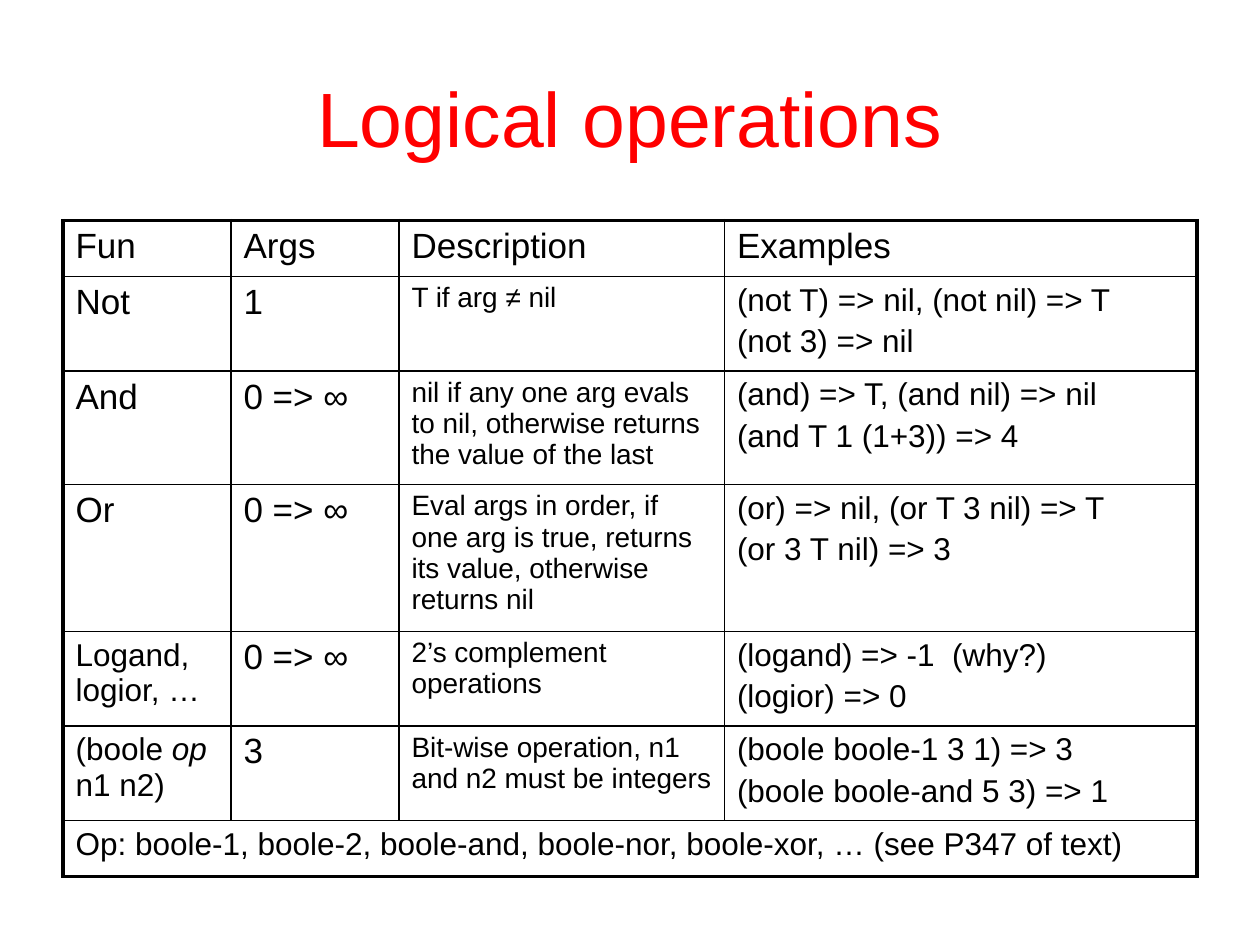
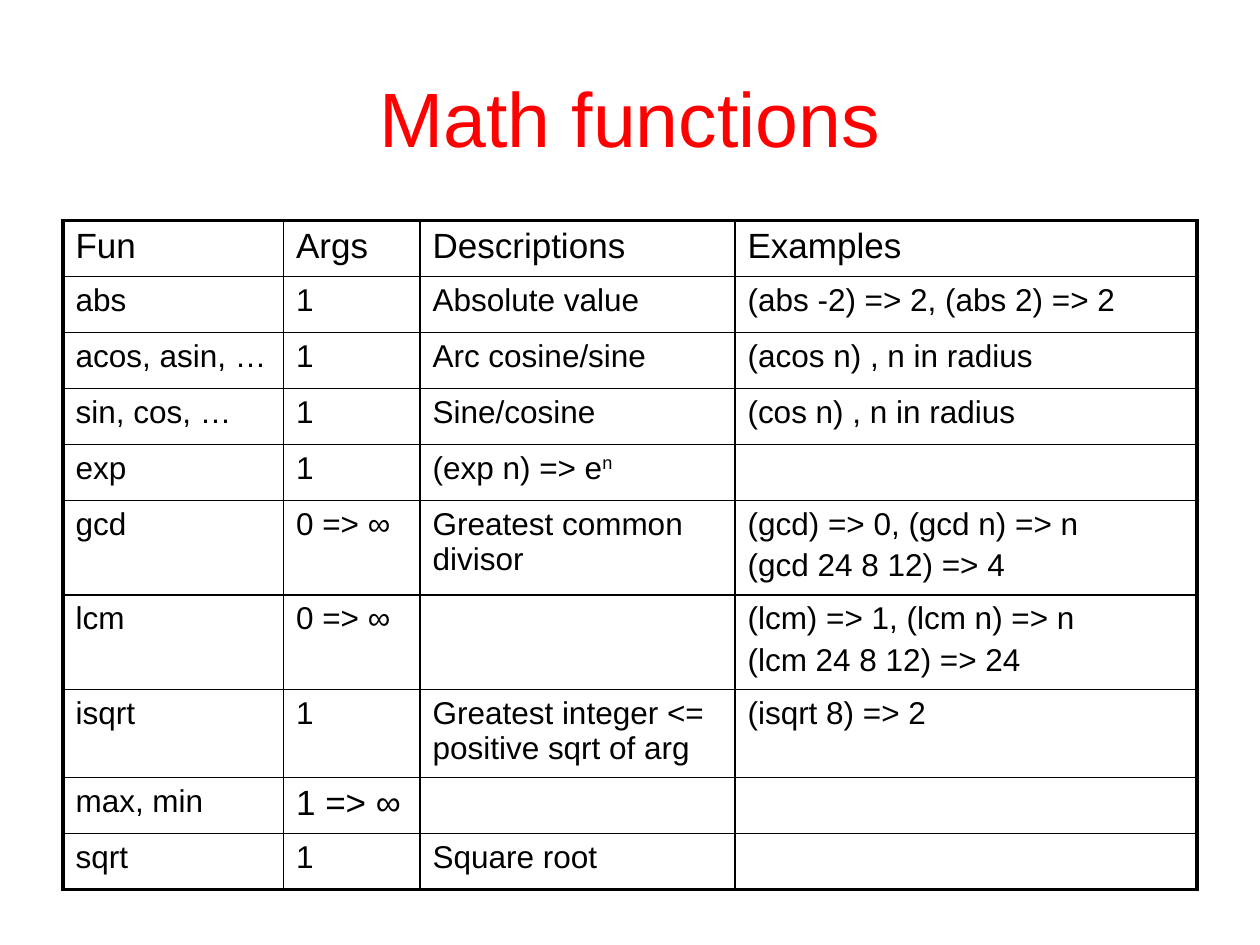
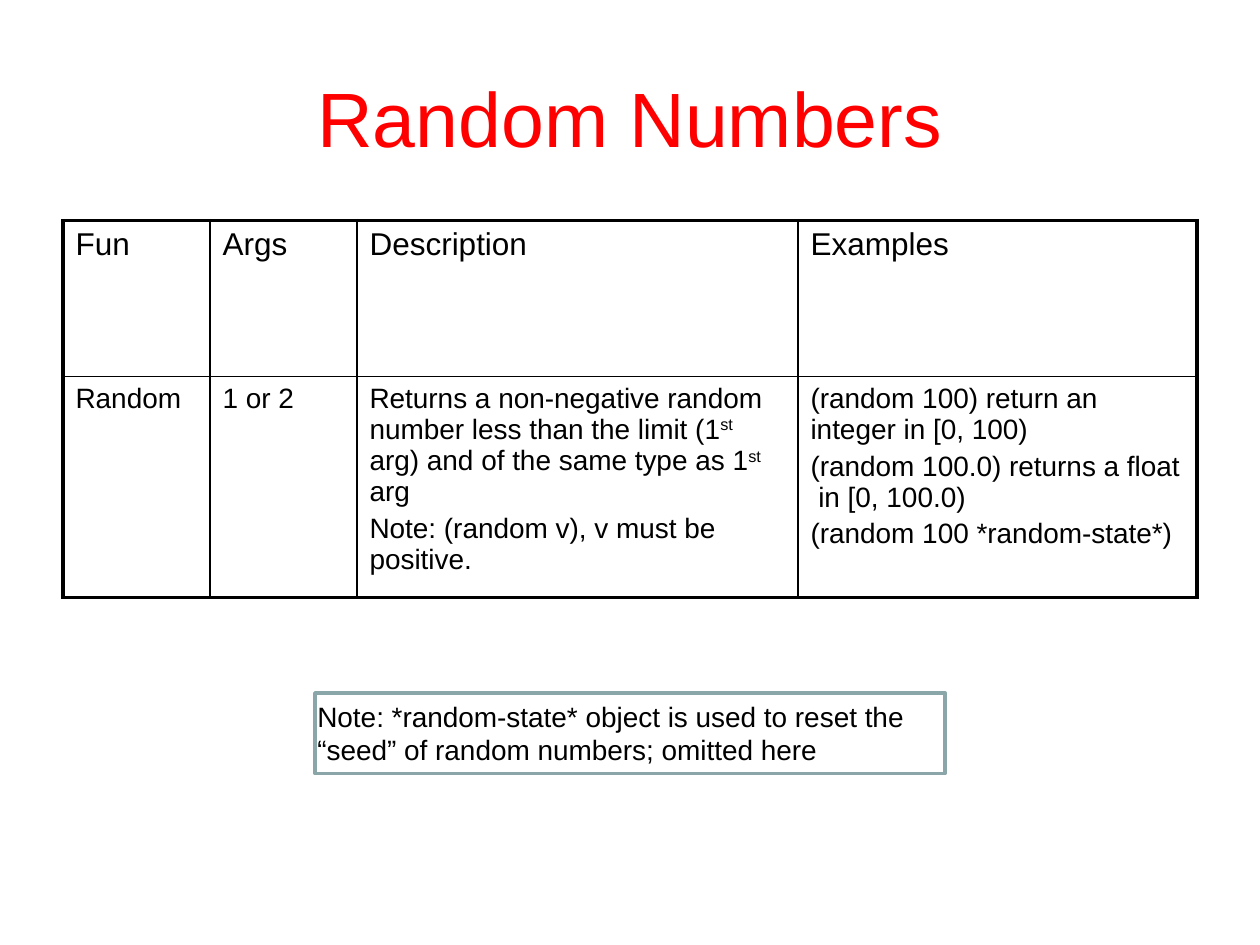
from lxml import etree
from pptx import Presentation
from pptx.dml.color import RGBColor
from pptx.enum.shapes import MSO_SHAPE
from pptx.enum.text import MSO_ANCHOR, MSO_AUTO_SIZE, PP_ALIGN
from pptx.oxml.ns import qn
from pptx.util import Inches, Pt

RECTANGLE = MSO_SHAPE.RECTANGLE
MIDDLE = MSO_ANCHOR.MIDDLE
CENTER = PP_ALIGN.CENTER
GROW = MSO_AUTO_SIZE.SHAPE_TO_FIT_TEXT

COLORS = {"title": "FF0000", "text": "000000", "grid": "000000", "frame": "8AA6A8"}
FONT = "Arial"
LEFT, WIDTH = 0.5, 9
TABLE_TOP = 1.75
ROW = 4 / 9
THIN, THICK = 1, 2.25
BLANK_LAYOUT = 6

# Table contents: "\n" parts paragraphs, ^...^ is raised, _..._ is italic;
# a (text, size) pair departs from the size of its column.
LOGICAL = [
    ["Fun", "Args", "Description", "Examples "],
    ["Not", "1", "T if arg ≠ nil",
     "(not T) => nil, (not nil) => T\n(not 3) => nil "],
    ["And", "0 => ∞",
     "nil if any one arg evals to nil, otherwise returns the value of the last",
     "(and) => T, (and nil) => nil\n(and T 1 (1+3)) => 4"],
    ["Or", "0 => ∞",
     "Eval args in order, if one arg is true, returns its value, otherwise returns nil",
     "(or) => nil, (or T 3 nil) => T\n(or 3 T nil) => 3"],
    [("Logand, logior, …", 18), "0 => ∞", "2’s complement operations",
     "(logand) => -1  (why?)\n(logior) => 0"],
    [("(boole _op_ n1 n2)", 18), "3", "Bit-wise operation, n1 and n2 must be integers",
     "(boole boole-1 3 1) => 3\n(boole boole-and 5 3) => 1 "],
    [("Op: boole-1, boole-2, boole-and, boole-nor, boole-xor, … (see P347 of text)", 18)],
]

MATH = [
    ["Fun", "Args", "Descriptions", "Examples "],
    ["abs", "1", "Absolute value", "(abs -2) => 2, (abs 2) => 2"],
    ["acos, asin, …", "1", "Arc cosine/sine", "(acos n) , n in radius"],
    ["sin, cos, …", "1", "Sine/cosine", "(cos n) , n in radius"],
    ["exp", "1", "(exp n) => e^n^", ""],
    ["gcd ", "0 => ∞", "Greatest common divisor",
     "(gcd) => 0, (gcd n) => n\n(gcd 24 8 12) => 4"],
    ["lcm", "0 => ∞", "", "(lcm) => 1, (lcm n) => n\n(lcm 24 8 12) => 24"],
    ["isqrt", "1", "Greatest integer <= positive sqrt of arg", "(isqrt 8) => 2"],
    ["max, min", ("1 => ∞", 20), "", ""],
    ["sqrt", "1", "Square root", ""],
]

RANDOM = [
    ["Fun", "Args", "Description", "Examples"],
    ["Random ", "1 or 2",
     "Returns a non-negative random number less than the limit (1^st ^arg) "
     "and of the same type as 1^st ^arg\nNote: (random v), v must be positive. ",
     "(random 100) return an integer in [0, 100)\n"
     "(random 100.0) returns a float  in [0, 100.0)\n"
     "(random 100 *random-state*) "],
]


def rgb(name):
    return RGBColor.from_string(COLORS[name])


def add_run(paragraph, text, size, color="text"):
    run = paragraph.add_run()
    run.text = text
    run.font.name = FONT
    run.font.size = Pt(size)
    run.font.color.rgb = rgb(color)
    return run


def add_marked_runs(paragraph, text, size):
    """Write text with its raised and italic parts as runs."""
    for i, level in enumerate(text.split("^")):
        for j, piece in enumerate(level.split("_")):
            if not piece:
                continue
            run = add_run(paragraph, piece, size)
            if i % 2:
                run.font._element.set("baseline", "30000")
            if j % 2:
                run.font.italic = True


def space_before(paragraph, percent):
    spacing = etree.SubElement(paragraph._p.get_or_add_pPr(), qn("a:spcBef"))
    etree.SubElement(spacing, qn("a:spcPct")).set("val", str(percent * 1000))


def set_borders(cell, widths):
    """Draw left, right, top and bottom lines, with widths in points."""
    properties = cell._tc.get_or_add_tcPr()
    for index, (side, width) in enumerate(zip("LRTB", widths)):
        line = etree.Element(qn(f"a:ln{side}"), w=str(Pt(width)))
        fill = etree.SubElement(line, qn("a:solidFill"))
        etree.SubElement(fill, qn("a:srgbClr")).set("val", COLORS["grid"])
        properties.insert(index, line)


def fill_cell(cell, content, size):
    text, size = content if isinstance(content, tuple) else (content, size)
    for index, part in enumerate(text.split("\n")):
        frame = cell.text_frame
        paragraph = frame.add_paragraph() if index else frame.paragraphs[0]
        space_before(paragraph, 20)
        add_marked_runs(paragraph, part, size)


def add_grid(slide, rows, twelfths, heights, sizes, header_size, frame_height):
    """Add a thick-framed table; column widths are in twelfths of an inch."""
    holder = slide.shapes.add_table(
        len(rows), len(twelfths), Inches(LEFT), Inches(TABLE_TOP),
        Inches(WIDTH), Inches(frame_height))
    table = holder.table
    table.first_row = table.horz_banding = False
    for column, width in zip(table.columns, twelfths):
        column.width = Inches(width / 12)
    for row, height in zip(table.rows, heights):
        row.height = Inches(height)
    # Rows grow with their text, so the frame is taller than their sum
    holder.height = Inches(frame_height)

    last_row, last_column = len(rows) - 1, len(twelfths) - 1
    for r, contents in enumerate(rows):
        spans_row = len(contents) == 1
        if spans_row:
            table.cell(r, 0).merge(table.cell(r, last_column))
        for c in range(len(twelfths)):
            cell = table.cell(r, c)
            cell.fill.background()
            outer = (c == 0, c == last_column or spans_row, r == 0, r == last_row)
            set_borders(cell, [THICK if edge else THIN for edge in outer])
            if c < len(contents):
                fill_cell(cell, contents[c], sizes[c] if r else header_size)


def add_textbox(slide, left, top, width, height):
    box = slide.shapes.add_textbox(
        Inches(left), Inches(top), Inches(width), Inches(height))
    box.text_frame.word_wrap = True
    return box.text_frame


def add_titled_slide(deck, title):
    slide = deck.slides.add_slide(deck.slide_layouts[BLANK_LAYOUT])
    heading = add_textbox(slide, LEFT, 0.3, WIDTH, 1.25)
    heading.vertical_anchor = MIDDLE
    heading.paragraphs[0].alignment = CENTER
    add_run(heading.paragraphs[0], title, 44, "title")
    return slide


def add_framed_note(slide, text):
    note = add_textbox(slide, 2.42, 5.5, 5.08, 0.64)
    note.auto_size = GROW
    add_run(note.paragraphs[0], text, 16)
    border = slide.shapes.add_shape(
        RECTANGLE, Inches(2.5), Inches(5.5), Inches(5), Inches(0.64))
    border.shadow.inherit = False
    border.fill.background()
    border.line.color.rgb = rgb("frame")
    border.line.width = Pt(2)


def main():
    deck = Presentation()
    deck.slide_width, deck.slide_height = Inches(10), Inches(7.5)

    # Logical operations
    slide = add_titled_slide(deck, "Logical operations")
    add_grid(slide, LOGICAL, [16, 16, 31, 45], [ROW] * len(LOGICAL),
             [20, 20, 16, 18], 20, 4.94)

    # Math functions
    slide = add_titled_slide(deck, "Math functions")
    add_grid(slide, MATH, [21, 13, 30, 44], [ROW] * len(MATH),
             [18] * 4, 20, 5.19)

    # Random numbers
    slide = add_titled_slide(deck, "Random Numbers")
    add_grid(slide, RANDOM, [14, 14, 42, 38], [1.24, 1.75],
             [16] * 4, 18, 2.99)
    add_framed_note(slide, "Note: *random-state* object is used to reset the "
                           "“seed” of random numbers; omitted here")

    deck.save("out.pptx")


main()
